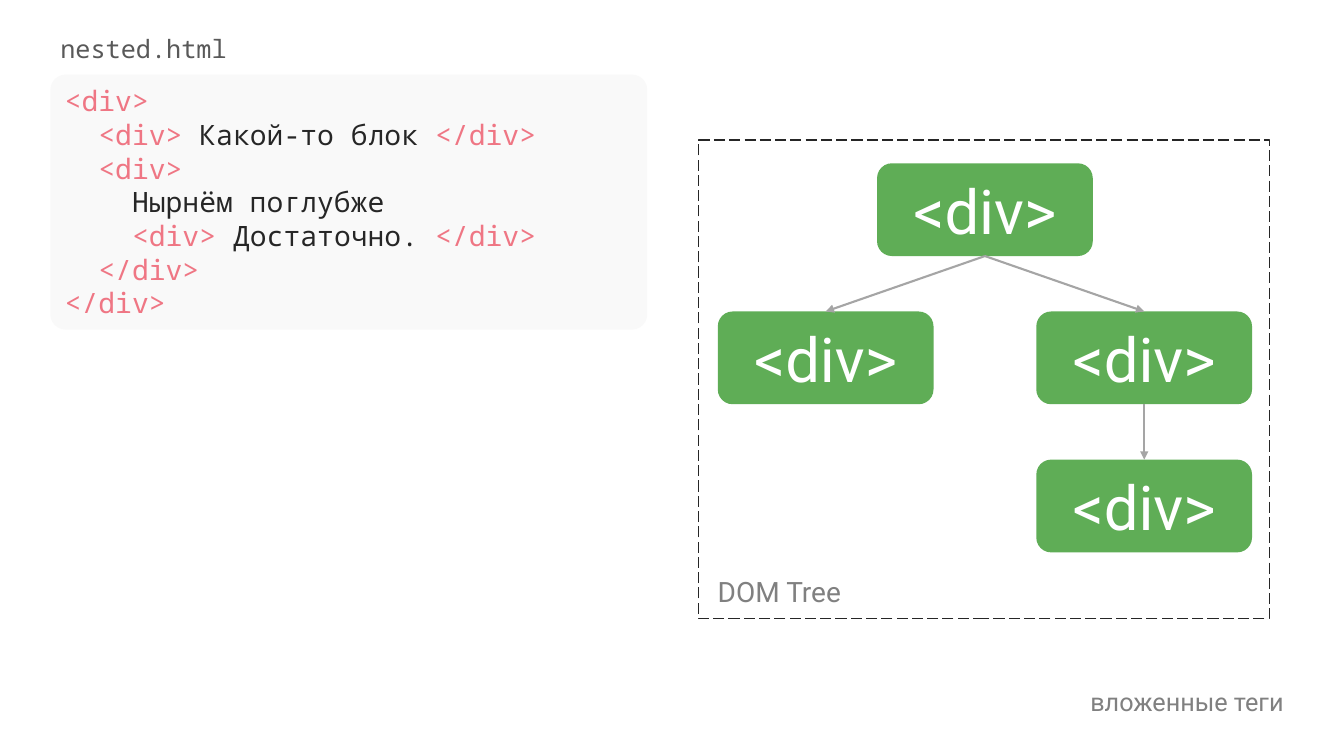
from dataclasses import dataclass
from typing import Optional

from lxml.etree import SubElement
from pptx import Presentation
from pptx.dml.color import RGBColor
from pptx.enum.dml import MSO_LINE_DASH_STYLE as Dash
from pptx.enum.shapes import MSO_AUTO_SHAPE_TYPE as ShapeType, MSO_CONNECTOR_TYPE as ConnectorType
from pptx.enum.text import MSO_VERTICAL_ANCHOR as Anchor, PP_PARAGRAPH_ALIGNMENT as Align
from pptx.oxml.ns import qn
from pptx.shapes.autoshape import Shape
from pptx.slide import Slide
from pptx.util import Inches, Pt

SLIDE_WIDTH, SLIDE_HEIGHT = Inches(13.33), Inches(7.5)
SANS, MONO = "Roboto", "Noto Sans Mono"
GREEN, PINK, DARK, GREY = "5FAD56", "EF7684", "262626", "808080"


@dataclass(frozen=True)
class Area:
    """Percentages of the slide's width and height."""

    left: float
    top: float
    width: float
    height: float

    def box(self) -> tuple[int, int, int, int]:
        return (across(self.left), down(self.top), across(self.width), down(self.height))


@dataclass(frozen=True)
class Caption:
    text: str
    area: Area
    font: str
    size: int
    color: str
    align: Align = Align.LEFT
    line_spacing: float = 1.0


@dataclass(frozen=True)
class Node:
    column: int
    row: int
    parent: Optional[int] = None

    def area(self) -> Area:
        return Area(53.41 + 11.85 * self.column, 21.6 + 19.6 * self.row, 16.05, 12.27)


CAPTIONS = [
    Caption("вложенные теги", Area(3.75, 90.53, 92.5, 5.47), SANS, 18, GREY, Align.RIGHT, 0.9),
    Caption("nested.html", Area(3.75, 4.27, 92.5, 5.47), MONO, 18, "595959", line_spacing=0.9),
    Caption("DOM Tree", Area(52.66, 75.33, 11.78, 5.87), SANS, 20, GREY),
]
CODE_AREA = Area(3.75, 9.87, 44.41, 33.73)
CODE_LINES = [
    ["<div>"],
    ["  <div> ", "Какой-то блок ", "</div>"],
    ["  <div>"],
    ["    Нырнём поглубже"],
    ["    <div> ", "Достаточно. ", "</div>"],
    ["  </div>"],
    ["</div>"],
]
TREE_AREA = Area(51.99, 18.53, 42.46, 63.33)
NODES = [Node(1, 0), Node(0, 1, 0), Node(2, 1, 0), Node(2, 2, 2)]


def across(percent: float) -> int:
    return round(SLIDE_WIDTH * percent / 100)


def down(percent: float) -> int:
    return round(SLIDE_HEIGHT * percent / 100)


def rgb(color: str) -> RGBColor:
    return RGBColor.from_string(color)


def add_rounded(slide: Slide, area: Area, radius: float, fill: str) -> Shape:
    shape = slide.shapes.add_shape(ShapeType.ROUNDED_RECTANGLE, *area.box())
    shape.shadow.inherit = False
    shape.adjustments[0] = radius
    shape.fill.solid()
    shape.fill.fore_color.rgb = rgb(fill)
    shape.line.fill.background()
    shape.text_frame.word_wrap = True
    return shape


def add_caption(slide: Slide, caption: Caption) -> None:
    frame = slide.shapes.add_textbox(*caption.area.box()).text_frame
    frame.word_wrap = True
    paragraph = frame.paragraphs[0]
    paragraph.text = caption.text
    paragraph.alignment = caption.align
    paragraph.line_spacing = caption.line_spacing
    paragraph.font.name = caption.font
    paragraph.font.size = Pt(caption.size)
    paragraph.font.color.rgb = rgb(caption.color)


def add_code(slide: Slide) -> None:
    frame = add_rounded(slide, CODE_AREA, 0.06, "F9F9F9").text_frame
    frame.vertical_anchor = Anchor.TOP
    for index, pieces in enumerate(CODE_LINES):
        paragraph = frame.add_paragraph() if index else frame.paragraphs[0]
        paragraph.alignment = Align.LEFT
        paragraph.font.name = MONO
        paragraph.font.size = Pt(20)
        for piece in pieces:
            run = paragraph.add_run()
            run.text = piece
            run.font.color.rgb = rgb(PINK if "<" in piece else DARK)


def add_node(slide: Slide, node: Node) -> None:
    frame = add_rounded(slide, node.area(), 0.16, GREEN).text_frame
    frame.vertical_anchor = Anchor.MIDDLE
    paragraph = frame.paragraphs[0]
    paragraph.text = "<div>"
    paragraph.alignment = Align.CENTER
    paragraph.font.name = SANS
    paragraph.font.size = Pt(44)
    paragraph.font.color.rgb = rgb("FFFFFF")


def add_arrow(slide: Slide, parent: Area, child: Area) -> None:
    connector = slide.shapes.add_connector(
        ConnectorType.STRAIGHT,
        across(parent.left + parent.width / 2),
        down(parent.top + parent.height),
        across(child.left + child.width / 2),
        down(child.top),
    )
    connector.line.color.rgb = rgb("A5A5A5")
    connector.line.width = Pt(1.5)
    SubElement(connector.line._get_or_add_ln(), qn("a:tailEnd"), type="triangle")
    SubElement(connector._element.spPr, qn("a:effectLst"))


def add_tree_frame(slide: Slide) -> None:
    shape = slide.shapes.add_shape(ShapeType.RECTANGLE, *TREE_AREA.box())
    shape.shadow.inherit = False
    shape.fill.background()
    shape.line.color.rgb = rgb(DARK)
    shape.line.width = Pt(1)
    shape.line.dash_style = Dash.LONG_DASH


def main() -> None:
    presentation = Presentation()
    presentation.slide_width, presentation.slide_height = SLIDE_WIDTH, SLIDE_HEIGHT
    slide = presentation.slides.add_slide(presentation.slide_layouts[6])
    add_code(slide)
    for node in NODES:
        add_node(slide, node)
    for node in NODES:
        if node.parent is not None:
            add_arrow(slide, NODES[node.parent].area(), node.area())
    add_tree_frame(slide)
    for caption in CAPTIONS:
        add_caption(slide, caption)
    presentation.save("out.pptx")


if __name__ == "__main__":
    main()
